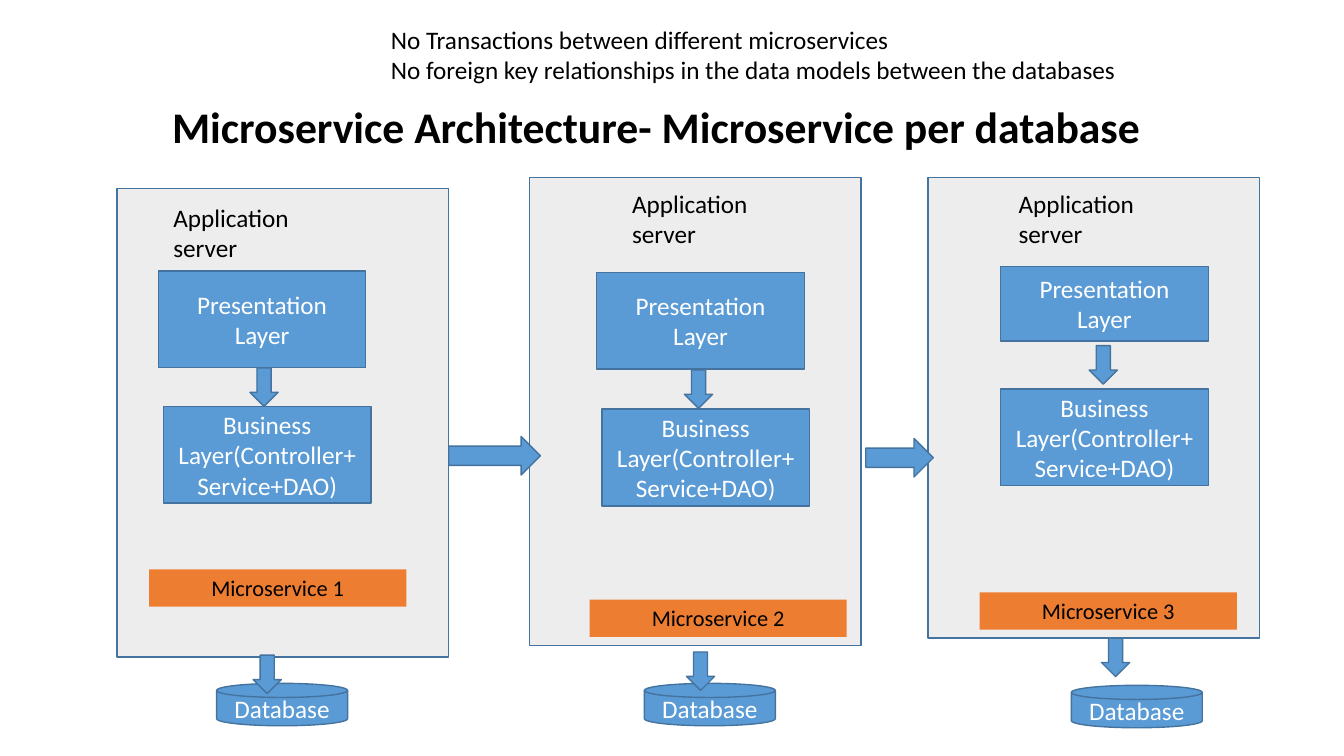
from dataclasses import dataclass

from pptx import Presentation
from pptx.dml.color import RGBColor
from pptx.enum import shapes, text
from pptx.util import Cm, Pt

MSO = shapes.MSO_SHAPE
ALIGN = text.PP_ALIGN
ANCHOR = text.MSO_ANCHOR


@dataclass(frozen=True)
class Theme:
    font: str = "Calibri"
    black: str = "000000"
    white: str = "FFFFFF"
    panel: str = "EDEDED"
    blue: str = "5B9BD5"
    edge: str = "43739E"
    orange: str = "ED7D31"
    title: float = 31.2
    body: float = 18
    tag: float = 16


THEME = Theme()

# Sizes shared by the three services (cm)
SIZES = {
    "label": (3.68, 1.8),
    "presentation": (5.23, 2.44),
    "business": (5.23, 2.44),
    "layer_arrow": (0.71, 0.97),
    "tag": (6.48, 0.94),
    "database": (3.3, 1.07),
    "database_arrow": (0.71, 0.97),
}

# Panel box on the slide, then each part's offset from its panel (cm)
SERVICES = [
    ((2.95, 4.75, 8.36, 11.81), dict(
        label=(1.17, 0.23), presentation=(1.04, 2.08), layer_arrow=(3.35, 4.52),
        business=(1.17, 5.49), tag=(0.81, 9.6), database=(2.51, 12.47),
        database_arrow=(3.43, 11.76))),
    ((13.34, 4.47, 8.36, 11.79), dict(
        label=(2.34, 0.15), presentation=(1.7, 2.39), layer_arrow=(3.91, 4.85),
        business=(1.83, 5.84), tag=(1.52, 10.64), database=(2.9, 12.75),
        database_arrow=(3.96, 11.96))),
    ((23.39, 4.47, 8.36, 11.61), dict(
        label=(2.03, 0.15), presentation=(1.83, 2.24, 5.23, 1.88),
        layer_arrow=(4.06, 4.24), business=(1.83, 5.33), tag=(1.3, 10.46),
        database=(3.61, 12.8), database_arrow=(4.37, 11.61))),
]


def write(tf, lines, size, color, align=ALIGN.LEFT, anchor=ANCHOR.TOP,
          bold=False, spacing=1.0):
    frame_format = dict(word_wrap=True, auto_size=text.MSO_AUTO_SIZE.NONE,
                        vertical_anchor=anchor)
    for name, value in frame_format.items():
        setattr(tf, name, value)
    tf.text = "\n".join(lines)
    font_format = dict(name=THEME.font, size=Pt(size), bold=bold)
    for p in tf.paragraphs:
        p.alignment, p.line_spacing = align, spacing
        for r in p.runs:
            for name, value in font_format.items():
                setattr(r.font, name, value)
            r.font.color.rgb = RGBColor.from_string(color)


def add_block(s, kind, box, fill=THEME.blue, edge=THEME.edge):
    sp = s.shapes.add_shape(kind, *map(Cm, box))
    sp.shadow.inherit = False
    sp.fill.solid()
    sp.fill.fore_color.rgb = RGBColor.from_string(fill)
    if edge:
        sp.line.color.rgb = RGBColor.from_string(edge)
        sp.line.width = Pt(1)
    else:
        sp.line.fill.background()
    return sp


def add_text(s, box, lines):
    sp = s.shapes.add_textbox(*map(Cm, box))
    write(sp.text_frame, lines, THEME.body, THEME.black)


def add_title(s, box, wording):
    sp = s.shapes.title
    for name, value in zip(("left", "top", "width", "height"), box):
        setattr(sp, name, Cm(value))
    write(sp.text_frame, [wording], THEME.title, THEME.black, ALIGN.CENTER,
          ANCHOR.BOTTOM, bold=True, spacing=0.9)


def add_service(s, number, panel, parts):
    left, top = panel[:2]

    def place(part):
        dx, dy, *size = parts[part]
        return (left + dx, top + dy, *(size or SIZES[part]))

    add_block(s, MSO.RECTANGLE, panel, THEME.panel)
    add_text(s, place("label"), ["Application server"])

    # Layers and database
    for part, kind, wording in (
            ("presentation", MSO.RECTANGLE, "Presentation Layer"),
            ("business", MSO.RECTANGLE, "Business Layer(Controller+Service+DAO)"),
            ("database", MSO.FLOWCHART_MAGNETIC_DISK, "Database")):
        sp = add_block(s, kind, place(part))
        write(sp.text_frame, [wording], THEME.body, THEME.white,
              ALIGN.CENTER, ANCHOR.MIDDLE)

    # Arrows down through the layers
    for part in ("layer_arrow", "database_arrow"):
        add_block(s, MSO.DOWN_ARROW, place(part))

    # Name tag
    sp = add_block(s, MSO.RECTANGLE, place("tag"), THEME.orange, edge=None)
    write(sp.text_frame, [f"Microservice {number}"], THEME.tag, THEME.black,
          ALIGN.CENTER)


def add_call_arrow(s, panel, gap, top, width):
    right = panel[0] + panel[2]
    add_block(s, MSO.RIGHT_ARROW, (right + gap, top, width, 0.97))


def main():
    prs = Presentation()
    prs.slide_width, prs.slide_height = Cm(33.87), Cm(19.05)
    s = prs.slides.add_slide(prs.slide_layouts[5])

    # Heading and notes on the data rules
    add_title(s, (3.84, 1.65, 25.4, 2.34),
              "Microservice Architecture- Microservice per database")
    add_text(s, (9.6, 0.48, 21.21, 1.8), [
        "No Transactions between different microservices",
        "No foreign key relationships in the data models between the databases",
    ])

    # Services, then the calls between them
    for number, (panel, parts) in enumerate(SERVICES, 1):
        add_service(s, number, panel, parts)
    add_call_arrow(s, SERVICES[0][0], 0, 11, 2.31)
    add_call_arrow(s, SERVICES[1][0], 0.12, 11.05, 1.7)

    prs.save("out.pptx")


if __name__ == "__main__":
    main()
